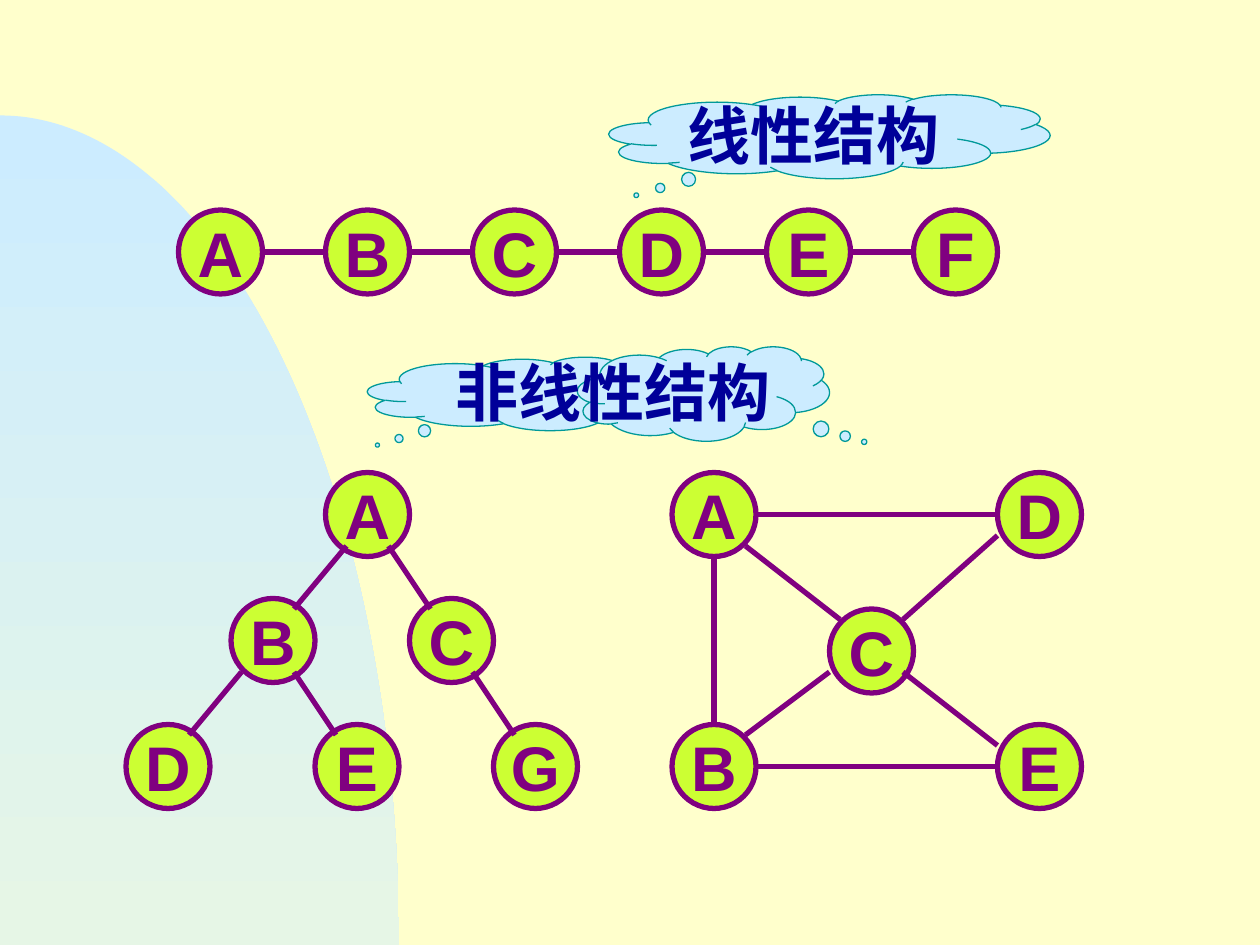
"""Build a slide that contrasts linear and non-linear data structures."""
from dataclasses import dataclass
from math import cos, pi, sin

from lxml import etree
from pptx import Presentation
from pptx.dml.color import RGBColor
from pptx.enum.shapes import MSO_CONNECTOR, MSO_SHAPE
from pptx.enum.text import MSO_ANCHOR, PP_ALIGN
from pptx.oxml.ns import qn
from pptx.shapes.autoshape import Shape
from pptx.slide import Slide
from pptx.util import Cm, Length, Pt

OVAL = MSO_SHAPE.OVAL
CLOUD = MSO_SHAPE.CLOUD_CALLOUT
LINE = MSO_CONNECTOR.STRAIGHT
MIDDLE = MSO_ANCHOR.MIDDLE
CENTER = PP_ALIGN.CENTER


@dataclass(frozen=True)
class Theme:
    """Colours, fonts and sizes."""
    back: str = "FFFFCC"
    sky: str = "CCECFF"
    haze: str = "E6F6E6"
    lime: str = "CCFF33"
    plum: str = "800080"
    teal: str = "009999"
    navy: str = "000099"
    sans: str = "Arial"
    serif: str = "Times New Roman"
    size: float = 36
    thick: float = 3
    thin: float = 0.75


@dataclass(frozen=True)
class Node:
    """A lettered circle, placed in grid units."""
    name: str
    x: int
    y: int


@dataclass(frozen=True)
class Edge:
    """A line between two grid points."""
    x1: int
    y1: int
    x2: int
    y2: int


@dataclass(frozen=True)
class Cloud:
    """A thought cloud with its tail offsets."""
    x: int
    y: int
    wide: int
    high: int
    tail: tuple[float, float]
    text: str = ""


THEME = Theme()
SIZE = 8
STEP = 14
ROW = [Node(name, 17 + STEP * i, 20) for i, name in enumerate("ABCDEF")]
LINKS = [Edge(a.x + SIZE, 24, b.x, 24) for a, b in zip(ROW, ROW[1:])]
TREE = [Node("A", 31, 45), Node("B", 22, 57), Node("C", 39, 57),
        Node("D", 12, 69), Node("E", 30, 69), Node("G", 47, 69)]
LIMBS = [Edge(33, 52, 28, 58), Edge(23, 64, 18, 70), Edge(28, 64, 32, 70),
         Edge(37, 52, 41, 58), Edge(45, 64, 49, 70)]
GRAPH = [Node("A", 64, 45), Node("B", 64, 69), Node("C", 79, 58),
         Node("D", 95, 45), Node("E", 95, 69)]
PATHS = [Edge(72, 73, 95, 73), Edge(68, 69, 68, 53), Edge(72, 49, 95, 49),
         Edge(71, 52, 80, 59), Edge(86, 64, 95, 71), Edge(71, 70, 79, 64),
         Edge(86, 59, 95, 51)]
CLOUDS = [Cloud(58, 9, 42, 8, (-0.438, 0.7), "线性结构"),
          Cloud(35, 34, 34, 7, (-0.472, 0.699)),
          Cloud(55, 33, 24, 9, (0.638, 0.509))]


def grid(n: float) -> Length:
    """Turn grid units, twelve to the inch, into a length."""
    return Cm(n * 2.54 / 12)


def rgb(code: str) -> RGBColor:
    """Read a hex colour."""
    return RGBColor.from_string(code)


def write(shape: Shape, text: str, font: str, color: str) -> None:
    """Put one bold, unwrapped line of text in a shape."""
    frame = shape.text_frame
    frame.text = text
    frame.word_wrap = False
    frame.vertical_anchor = MIDDLE
    line = frame.paragraphs[0]
    line.alignment = CENTER
    face = line.runs[0].font
    face.name, face.size, face.bold = font, Pt(THEME.size), True
    face.color.rgb = rgb(color)


def paint(shape: Shape, fill: str, color: str, width: float) -> None:
    """Set fill and outline, without shadow."""
    shape.shadow.inherit = False
    shape.fill.solid()
    shape.fill.fore_color.rgb = rgb(fill)
    shape.line.color.rgb = rgb(color)
    shape.line.width = Pt(width)


def draw_node(slide: Slide, node: Node) -> None:
    """Draw a lettered circle."""
    shape = slide.shapes.add_shape(
        OVAL, grid(node.x), grid(node.y), grid(SIZE), grid(SIZE))
    paint(shape, THEME.lime, THEME.plum, THEME.thick)
    write(shape, node.name, THEME.sans, THEME.plum)


def draw_edge(slide: Slide, edge: Edge) -> None:
    """Draw a line between two points."""
    line = slide.shapes.add_connector(
        LINE, grid(edge.x1), grid(edge.y1), grid(edge.x2), grid(edge.y2))
    line.line.color.rgb = rgb(THEME.plum)
    line.line.width = Pt(THEME.thick)
    etree.SubElement(line._element.spPr, qn("a:effectLst"))


def draw_cloud(slide: Slide, cloud: Cloud) -> None:
    """Draw a thought cloud."""
    shape = slide.shapes.add_shape(
        CLOUD, grid(cloud.x), grid(cloud.y), grid(cloud.wide), grid(cloud.high))
    shape.adjustments[0], shape.adjustments[1] = cloud.tail
    paint(shape, THEME.sky, THEME.teal, THEME.thin)
    if cloud.text:
        write(shape, cloud.text, THEME.serif, THEME.navy)


def draw_hill(slide: Slide) -> None:
    """Draw the shaded quarter ellipse in the lower left corner."""
    wide, high, base, parts = 38, 79, 90, 90
    turns = [pi / 2 * i / parts for i in range(parts + 1)]
    curve = [(grid(wide * sin(t)), grid(base - high * cos(t))) for t in turns]
    form = slide.shapes.build_freeform(0, grid(base))
    form.add_line_segments(curve, close=True)
    hill = form.convert_to_shape()
    hill.shadow.inherit = False
    hill.line.fill.background()
    hill.fill.gradient()
    hill.fill.gradient_angle = 270
    for stop, color in zip(hill.fill.gradient_stops, (THEME.sky, THEME.haze)):
        stop.color.rgb = rgb(color)


def main() -> None:
    """Build and save the slide."""
    deck = Presentation()
    deck.slide_width, deck.slide_height = Cm(25.4), Cm(19.05)
    slide = deck.slides.add_slide(deck.slide_layouts[6])
    slide.background.fill.solid()
    slide.background.fill.fore_color.rgb = rgb(THEME.back)
    draw_hill(slide)
    for node in ROW + TREE + GRAPH:
        draw_node(slide, node)
    for edge in LINKS + LIMBS + PATHS:
        draw_edge(slide, edge)
    for cloud in CLOUDS:
        draw_cloud(slide, cloud)
    label = slide.shapes.add_textbox(Cm(8.92), Cm(6.99), Cm(6.86), Cm(1.78))
    write(label, "非线性结构", THEME.serif, THEME.navy)
    deck.save("out.pptx")


if __name__ == "__main__":
    main()
